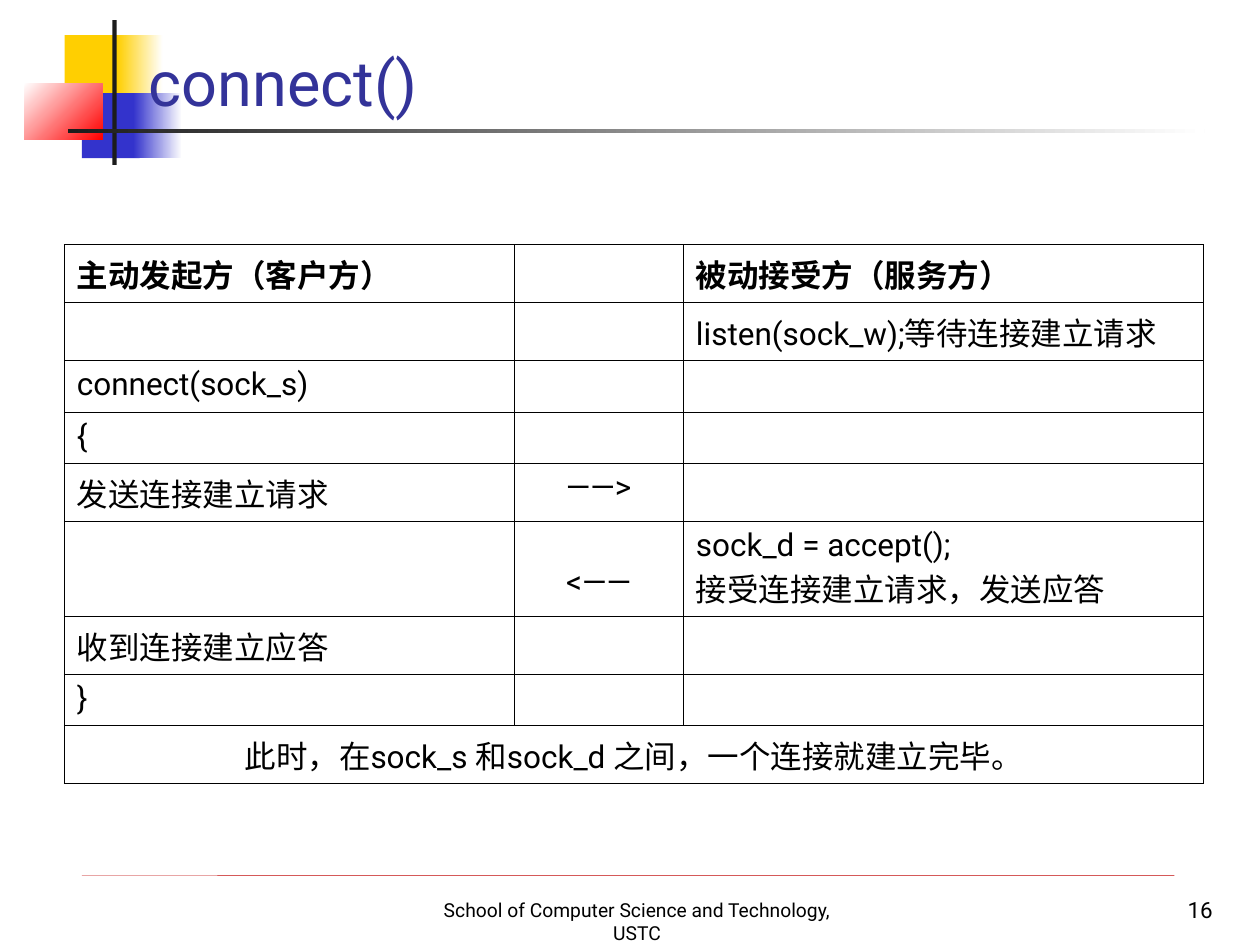
from dataclasses import dataclass

from lxml import etree
from pptx import Presentation
from pptx.dml.color import RGBColor
from pptx.enum.shapes import MSO_CONNECTOR, MSO_SHAPE
from pptx.enum.text import MSO_ANCHOR, PP_ALIGN
from pptx.oxml.ns import qn
from pptx.slide import Slide
from pptx.table import _Cell
from pptx.text.text import TextFrame
from pptx.util import Pt

RECTANGLE = MSO_SHAPE.RECTANGLE
STRAIGHT = MSO_CONNECTOR.STRAIGHT
TOP, BOTTOM = MSO_ANCHOR.TOP, MSO_ANCHOR.BOTTOM
LEFT, CENTER, RIGHT = PP_ALIGN.LEFT, PP_ALIGN.CENTER, PP_ALIGN.RIGHT

FONT = "Roboto"
COLORS = {
    "yellow": "FFCF01",
    "blue": "3333CC",
    "red": "FF0000",
    "white": "FFFFFF",
    "charcoal": "1C1C1C",
    "title": "333399",
    "text": "000000",
    "footer_rule": "C00000",
}
BODY_SIZE = 18
BORDER_WIDTH = 0.45
ARROW_COLUMN = 1
REPLY_ROW = 5
REPLY_TOP_MARGIN = 24.7


@dataclass
class Block:
    left: float
    top: float
    width: float
    height: float
    color: str
    fade_to: str = ""
    angle: float = 0


@dataclass
class Label:
    left: float
    top: float
    width: float
    height: float
    text: str
    size: float
    color: str = "text"
    align: PP_ALIGN = LEFT
    anchor: MSO_ANCHOR = TOP


ORNAMENT = [
    Block(37, 20.16, 33, 36, "yellow"),
    Block(67, 20.16, 26, 36, "yellow", "white"),
    Block(46.8, 53.28, 33.12, 37.2, "blue"),
    Block(76.32, 53.28, 27.7, 37.2, "blue", "white"),
    Block(14, 47.52, 44.6, 32.2, "white", "red", 315),
    Block(64.2, 11.52, 2.5, 82.8, "charcoal"),
    Block(38.88, 73.6, 649.44, 2.5, "charcoal", "white"),
]
LABELS = [
    Label(231.6, 509.5, 264.96, 33.84,
          "School of Computer Science and Technology, USTC", 11, align=CENTER),
    Label(78, 17, 607.68, 54.72, "connect()", 36, "title", anchor=BOTTOM),
    Label(620.2, 505.7, 79.92, 25.2, "16", 12.8, align=RIGHT, anchor=BOTTOM),
]
COLUMN_WIDTHS = [257.04, 96.8, 297.04]
CHINESE_ROW, LATIN_ROW, REPLY_HEIGHT = 33.14, 29.4, 54.3
ROW_HEIGHTS = [CHINESE_ROW, CHINESE_ROW, LATIN_ROW, LATIN_ROW, CHINESE_ROW,
               REPLY_HEIGHT, CHINESE_ROW, LATIN_ROW, CHINESE_ROW]
DIALOGUE = [
    ("主动发起方（客户方）", "", "被动接受方（服务方）"),
    ("", "", "listen(sock_w);等待连接建立请求"),
    ("connect(sock_s)", "", ""),
    ("{", "", ""),
    ("发送连接建立请求", "——>", ""),
    ("", "<——", "sock_d = accept();\n接受连接建立请求，发送应答"),
    ("收到连接建立应答", "", ""),
    ("}", "", ""),
    ("此时，在sock_s 和sock_d 之间，一个连接就建立完毕。", "", ""),
]


def rgb(name: str) -> RGBColor:
    return RGBColor.from_string(COLORS[name])


def write(frame: TextFrame, text: str, size: float, color: str = "text",
          align: PP_ALIGN = LEFT, bold: bool = False) -> None:
    for index, line in enumerate(text.split("\n")):
        paragraph = frame.add_paragraph() if index else frame.paragraphs[0]
        paragraph.alignment = align
        run = paragraph.add_run()
        run.text = line
        run.font.name = FONT
        run.font.size = Pt(size)
        run.font.bold = bold
        run.font.color.rgb = rgb(color)


def draw_block(slide: Slide, block: Block) -> None:
    shape = slide.shapes.add_shape(
        RECTANGLE, Pt(block.left), Pt(block.top), Pt(block.width), Pt(block.height))
    shape.shadow.inherit = False
    shape.line.fill.background()
    if block.fade_to:
        shape.fill.gradient()
        shape.fill.gradient_angle = block.angle
        for stop, color in zip(shape.fill.gradient_stops, (block.color, block.fade_to)):
            stop.color.rgb = rgb(color)
    else:
        shape.fill.solid()
        shape.fill.fore_color.rgb = rgb(block.color)


def draw_label(slide: Slide, label: Label) -> None:
    box = slide.shapes.add_textbox(
        Pt(label.left), Pt(label.top), Pt(label.width), Pt(label.height))
    frame = box.text_frame
    frame.word_wrap = True
    frame.vertical_anchor = label.anchor
    write(frame, label.text, label.size, label.color, label.align)


def draw_footer_rule(slide: Slide) -> None:
    rule = slide.shapes.add_connector(STRAIGHT, Pt(46.8), Pt(500.3), Pt(671.04), Pt(500.4))
    rule.line.color.rgb = rgb("footer_rule")
    rule.line.width = Pt(0.25)
    etree.SubElement(rule._element.spPr, qn("a:effectLst"))


def style_cell(cell: _Cell) -> None:
    properties = cell._tc.get_or_add_tcPr()
    for side in ("a:lnL", "a:lnR", "a:lnT", "a:lnB"):
        border = etree.SubElement(properties, qn(side), w=str(Pt(BORDER_WIDTH)))
        fill = etree.SubElement(border, qn("a:solidFill"))
        etree.SubElement(fill, qn("a:srgbClr"), val=COLORS["text"])
    cell.fill.solid()
    cell.fill.fore_color.rgb = rgb("white")


def draw_dialogue(slide: Slide) -> None:
    table = slide.shapes.add_table(
        len(DIALOGUE), len(COLUMN_WIDTHS), Pt(36.72), Pt(139.68),
        Pt(sum(COLUMN_WIDTHS)), Pt(sum(ROW_HEIGHTS))).table
    table.first_row = False
    table.horz_banding = False
    for column, width in zip(table.columns, COLUMN_WIDTHS):
        column.width = Pt(width)
    for row, height in zip(table.rows, ROW_HEIGHTS):
        row.height = Pt(height)

    last_row = len(DIALOGUE) - 1
    for row_index, texts in enumerate(DIALOGUE):
        for column_index, text in enumerate(texts):
            cell = table.cell(row_index, column_index)
            style_cell(cell)
            if text:
                centered = column_index == ARROW_COLUMN or row_index == last_row
                write(cell.text_frame, text, BODY_SIZE,
                      align=CENTER if centered else LEFT, bold=row_index == 0)
    table.cell(REPLY_ROW, ARROW_COLUMN).margin_top = Pt(REPLY_TOP_MARGIN)
    table.cell(last_row, 0).merge(table.cell(last_row, len(COLUMN_WIDTHS) - 1))


def main() -> None:
    presentation = Presentation()
    presentation.slide_width = Pt(720)
    presentation.slide_height = Pt(540)
    slide = presentation.slides.add_slide(presentation.slide_layouts[6])
    for block in ORNAMENT:
        draw_block(slide, block)
    draw_footer_rule(slide)
    for label in LABELS:
        draw_label(slide, label)
    draw_dialogue(slide)
    presentation.save("out.pptx")


if __name__ == "__main__":
    main()
